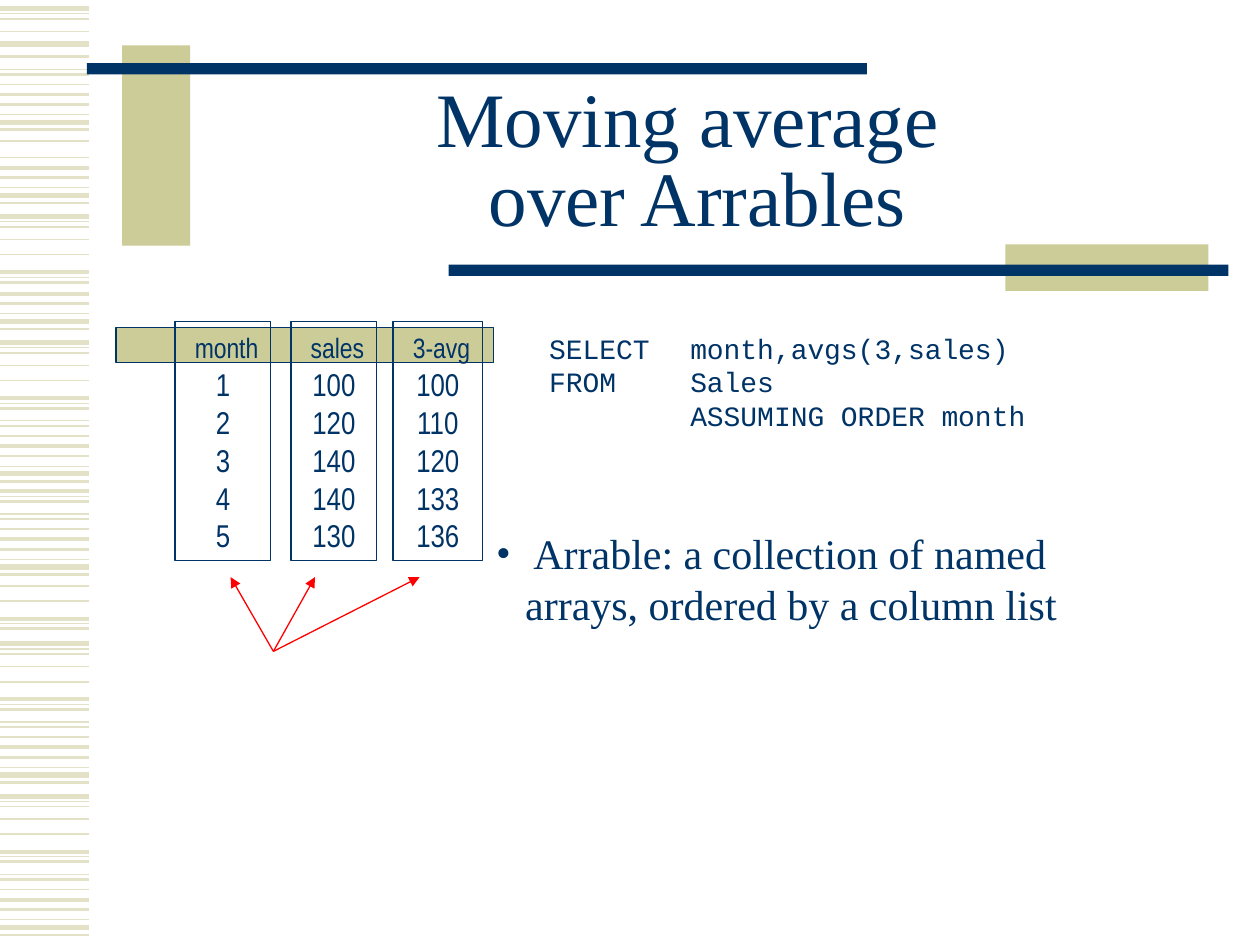
from dataclasses import dataclass
from typing import NamedTuple

from lxml.etree import SubElement
from pptx import Presentation
from pptx.dml.color import RGBColor
from pptx.enum.shapes import MSO_CONNECTOR, MSO_SHAPE
from pptx.enum.text import MSO_ANCHOR, PP_ALIGN
from pptx.oxml.ns import qn
from pptx.util import Inches, Pt


@dataclass(frozen=True)
class Theme:
    navy: RGBColor = RGBColor(0x00, 0x33, 0x66)
    khaki: RGBColor = RGBColor(0xCC, 0xCC, 0x99)
    stripe: RGBColor = RGBColor(0xE3, 0xE2, 0xC7)
    arrow: RGBColor = RGBColor(0xFF, 0x00, 0x00)
    serif: str = "Times New Roman"
    narrow: str = "Arial Narrow"
    mono: str = "Courier New"
    title_size: float = 44
    bullet_size: float = 24
    value_size: float = 18
    label_size: float = 16
    hairline: float = 0.75


class Box(NamedTuple):
    left: float
    top: float
    width: float
    height: float

    def inside(self, left, top, width, height):
        return Box(self.left + left, self.top + top, width, height)

    def lengths(self):
        return [Inches(value) for value in self]


THEME = Theme()

STRIPE_PATTERN = [
    (0, 3), (0.04, 0.75), (0.08, 1), (0.18, 1), (0.3, 1), (0.44, 2.25),
    (0.48, 0.75), (0.52, 1.5), (0.62, 0.75), (0.66, 1.5), (0.74, 1),
    (0.82, 2.25), (0.9, 1.5), (0.98, 0.75), (1.04, 3), (1.1, 1.5),
]
STRIPE_BANDS = [
    (0.07, 0, 4), (0.35, 0, 1), (-0.07, 7, 16), (0.82, 4, 5),
    (0.51, 10, 16), (1.72, 0, 8), (1.51, 11, 16), (2.72, 0, 16),
    (3.46, 5, 16), (4.47, 3, 8), (5.11, 0, 16), (6.32, 0, 16),
]
COLUMNS = [
    (0.47, 0.76, "month", ["1", "2", "3", "4", "5"]),
    (1.39, 0.68, "sales", ["100", "120", "140", "140", "130"]),
    (2.2, 0.71, "3-avg", ["100", "110", "120", "133", "136"]),
]
QUERY = ["SELECT\tmonth,avgs(3,sales)", "FROM\tSales", "\tASSUMING ORDER month"]


def apply_format(target, values):
    for name, value in values.items():
        setattr(target, name, value)


def add_rectangle(slide, box, fill=None, outline=None):
    shape = slide.shapes.add_shape(MSO_SHAPE.RECTANGLE, *box.lengths())
    shape.shadow.inherit = False
    if fill is None:
        shape.fill.background()
    else:
        shape.fill.solid()
        shape.fill.fore_color.rgb = fill
    if outline is None:
        shape.line.fill.background()
    else:
        shape.line.color.rgb = outline
        shape.line.width = Pt(THEME.hairline)
    return shape


def add_line(slide, start, end, color, width):
    points = [Inches(value) for value in (*start, *end)]
    line = slide.shapes.add_connector(MSO_CONNECTOR.STRAIGHT, *points)
    line.line.color.rgb = color
    line.line.width = Pt(width)
    SubElement(line._element.spPr, qn("a:effectLst"))
    return line


def add_text(paragraph, text, font, size):
    for index, line in enumerate(text.split("\n")):
        if index:
            paragraph.add_line_break()
        run = paragraph.add_run()
        run.text = line
        apply_format(run.font, {"name": font, "size": Pt(size)})
        run.font.color.rgb = THEME.navy


def write_lines(frame, lines, font, frame_format, paragraph_format):
    apply_format(frame, frame_format)
    for index, runs in enumerate(lines):
        paragraph = frame.add_paragraph() if index else frame.paragraphs[0]
        apply_format(paragraph, paragraph_format)
        for text, size in runs:
            add_text(paragraph, text, font, size)


def add_stripes(slide, box):
    for start, first, stop in STRIPE_BANDS:
        for offset, width in STRIPE_PATTERN[first:stop]:
            height = box.top + start + offset
            add_line(slide, (box.left, height), (box.left + box.width, height),
                     THEME.stripe, width)


def add_title(slide, box):
    decorations = [
        (0.28, 0, 0.54, 1.59, THEME.khaki), (0, 0.14, 6.19, 0.09, THEME.navy),
        (7.29, 1.58, 1.61, 0.37, THEME.khaki), (2.87, 1.74, 6.19, 0.09, THEME.navy),
    ]
    for *place, color in decorations:
        add_rectangle(slide, box.inside(*place), fill=color)
    title = slide.shapes.add_textbox(*box.inside(0.81, 0.31, 8.07, 1.25).lengths())
    write_lines(title.text_frame, [[("Moving average \nover Arrables", THEME.title_size)]],
                THEME.serif,
                {"word_wrap": True, "vertical_anchor": MSO_ANCHOR.MIDDLE},
                {"alignment": PP_ALIGN.CENTER, "line_spacing": 0.85})


def add_arrable(slide, box):
    add_rectangle(slide, box.inside(0, 0.05, box.width, 0.28), THEME.khaki, THEME.navy)
    for left, width, label, values in COLUMNS:
        column = add_rectangle(slide, box.inside(left, 0, width, box.height),
                               outline=THEME.navy)
        header = [(" ", THEME.value_size), (label, THEME.label_size)]
        lines = [header] + [[(value, THEME.value_size)] for value in values]
        write_lines(column.text_frame, lines, THEME.narrow,
                    {"word_wrap": False, "vertical_anchor": MSO_ANCHOR.TOP},
                    {"alignment": PP_ALIGN.CENTER})


def add_query(slide, box):
    query = slide.shapes.add_textbox(*box.lengths())
    write_lines(query.text_frame, [[(line, THEME.label_size)] for line in QUERY],
                THEME.mono, {"word_wrap": False}, {"alignment": PP_ALIGN.LEFT})
    for paragraph in query.text_frame.paragraphs:
        tabs = SubElement(paragraph._p.get_or_add_pPr(), qn("a:tabLst"))
        SubElement(tabs, qn("a:tab"), pos=str(Inches(1.12)), algn="l")


def add_arrows(slide, box):
    origin = (box.left + 0.34, box.top + box.height)
    for offset in (0, 0.67, box.width):
        arrow = add_line(slide, origin, (box.left + offset, box.top),
                         THEME.arrow, THEME.hairline)
        SubElement(arrow.line._get_or_add_ln(), qn("a:tailEnd"), type="triangle")


def add_definition(slide, box):
    definition = slide.shapes.add_textbox(*box.lengths())
    text = " Arrable: a collection of named\narrays, ordered by a column list"
    write_lines(definition.text_frame, [[(text, THEME.bullet_size)]], THEME.serif,
                {"word_wrap": True}, {"alignment": PP_ALIGN.LEFT})
    properties = definition.text_frame.paragraphs[0]._p.get_or_add_pPr()
    properties.set("marL", str(Inches(0.23)))
    properties.set("indent", str(-Inches(0.23)))
    SubElement(properties, qn("a:buFont"), typeface=THEME.serif)
    SubElement(properties, qn("a:buChar"), char="•")


def main():
    presentation = Presentation()
    apply_format(presentation, {"slide_width": Inches(10), "slide_height": Inches(7.5)})
    slide = presentation.slides.add_slide(presentation.slide_layouts[6])
    add_stripes(slide, Box(0, 0, 0.71, 7.5))
    add_title(slide, Box(0.69, 0.36, 9.06, 1.95))
    add_arrable(slide, Box(0.92, 2.55, 3, 1.9))
    add_query(slide, Box(4.26, 2.58, 3.98, 0.9))
    add_arrows(slide, Box(1.83, 4.58, 1.5, 0.59))
    add_definition(slide, Box(3.84, 4.14, 5.27, 0.9))
    presentation.save("out.pptx")


if __name__ == "__main__":
    main()
